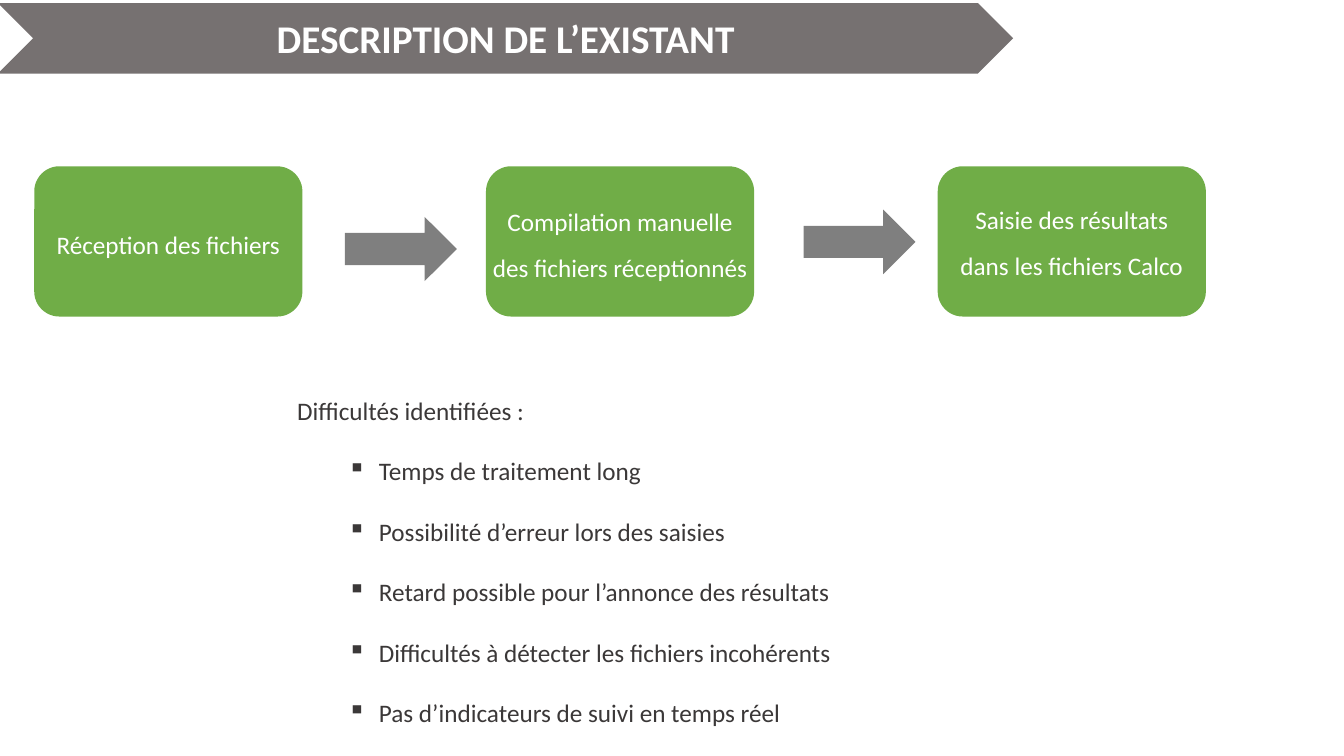
from lxml import etree
from pptx import Presentation
from pptx import util as u
from pptx.dml.color import RGBColor
from pptx.enum import shapes, text
from pptx.oxml.ns import qn

SLIDE_W, SLIDE_H = u.Inches(13.33), u.Inches(7.5)
FONT = "Calibri"
COLORS = {"banner": "767171", "step": "70AD47", "arrow": "000000",
          "light": "FFFFFF", "dark": "3B3838"}
BANNER = (-0.15, 0.4, 75.54, 9.33)
DIFFICULTIES = (21.38, 47.6, 61.44, 48.67)
FIRST_STEP = (2.55, 22, 19.95, 19.87)
STEP_PITCH = 33.61
ARROW_W, ARROW_H = 8.33, 8.53
STEPS = [
    ("Réception des fichiers", (5.73, 18.6, 6.8), (23.11, 6.67)),
    ("Compilation manuelle des fichiers réceptionnés", (2.67, 21, 12.8), (23.63, 5.73)),
    ("Saisie des résultats dans les fichiers Calco", (2.4, 18.6, 12.8), None),
]
DIFFICULTY_TITLE = "Difficultés identifiées :"
DIFFICULTY_ITEMS = [
    "Temps de traitement long",
    "Possibilité d’erreur lors des saisies",
    "Retard possible pour l’annonce des résultats",
    "Difficultés à détecter les fichiers incohérents",
    "Pas d’indicateurs de suivi en temps réel",
]


def place(box):
    left, top, width, height = box
    return (round(SLIDE_W * left / 100), round(SLIDE_H * top / 100),
            round(SLIDE_W * width / 100), round(SLIDE_H * height / 100))


def add_block(slide, kind, box, color):
    block = slide.shapes.add_shape(kind, *place(box))
    block.shadow.inherit = False
    block.fill.solid()
    block.fill.fore_color.rgb = RGBColor.from_string(COLORS[color])
    block.line.fill.background()
    return block


def add_wording(slide, box, wording):
    frame = slide.shapes.add_textbox(*place(box)).text_frame
    frame.word_wrap = True
    frame.auto_size = text.MSO_AUTO_SIZE.SHAPE_TO_FIT_TEXT
    frame.text = wording
    return frame


def style(paragraph, color, size=18, bold=False):
    for run in paragraph.runs:
        run.font.name = FONT
        run.font.size = u.Pt(size)
        run.font.bold = bold
        run.font.color.rgb = RGBColor.from_string(COLORS[color])


def add_bullet(paragraph):
    paragraph.level = 1
    properties = paragraph._p.get_or_add_pPr()
    properties.set("marL", str(u.Inches(0.81)))
    properties.set("indent", str(u.Inches(-0.31)))
    etree.SubElement(properties, qn("a:buChar")).set("char", "▪")


def build_banner(slide, box):
    banner = add_block(slide, shapes.MSO_SHAPE.CHEVRON, box, "banner")
    frame = banner.text_frame
    frame.text = "DESCRIPTION DE L’EXISTANT"
    frame.vertical_anchor = text.MSO_ANCHOR.MIDDLE
    title = frame.paragraphs[0]
    title.alignment = text.PP_ALIGN.CENTER
    style(title, "light", 28, True)


def build_step(slide, box, wording, label, arrow):
    left, top, width, _ = box
    label_drop, label_width, label_height = label
    add_block(slide, shapes.MSO_SHAPE.ROUNDED_RECTANGLE, box, "step")
    label_box = (left + (width - label_width) / 2, top + label_drop, label_width, label_height)
    caption = add_wording(slide, label_box, wording).paragraphs[0]
    caption.alignment = text.PP_ALIGN.CENTER
    caption.line_spacing = 1.5
    style(caption, "light")
    if arrow:
        arrow_box = (left + arrow[0], top + arrow[1], ARROW_W, ARROW_H)
        next_arrow = add_block(slide, shapes.MSO_SHAPE.RIGHT_ARROW, arrow_box, "arrow")
        tint = next_arrow.fill._xPr.find(qn("a:solidFill"))[0]
        etree.SubElement(tint, qn("a:alpha")).set("val", "50000")


def build_process(slide, first_box):
    left, *rest = first_box
    for index, (wording, label, arrow) in enumerate(STEPS):
        build_step(slide, (left + index * STEP_PITCH, *rest), wording, label, arrow)


def build_difficulties(slide, box):
    frame = add_wording(slide, box, "\n".join([DIFFICULTY_TITLE, *DIFFICULTY_ITEMS]))
    for index, paragraph in enumerate(frame.paragraphs):
        paragraph.line_spacing = 2.0
        if index:
            add_bullet(paragraph)
        style(paragraph, "dark")


def main():
    deck = Presentation()
    deck.slide_width, deck.slide_height = SLIDE_W, SLIDE_H
    slide = deck.slides.add_slide(deck.slide_layouts[6])
    build_banner(slide, BANNER)
    build_difficulties(slide, DIFFICULTIES)
    build_process(slide, FIRST_STEP)
    deck.save("out.pptx")


if __name__ == "__main__":
    main()
